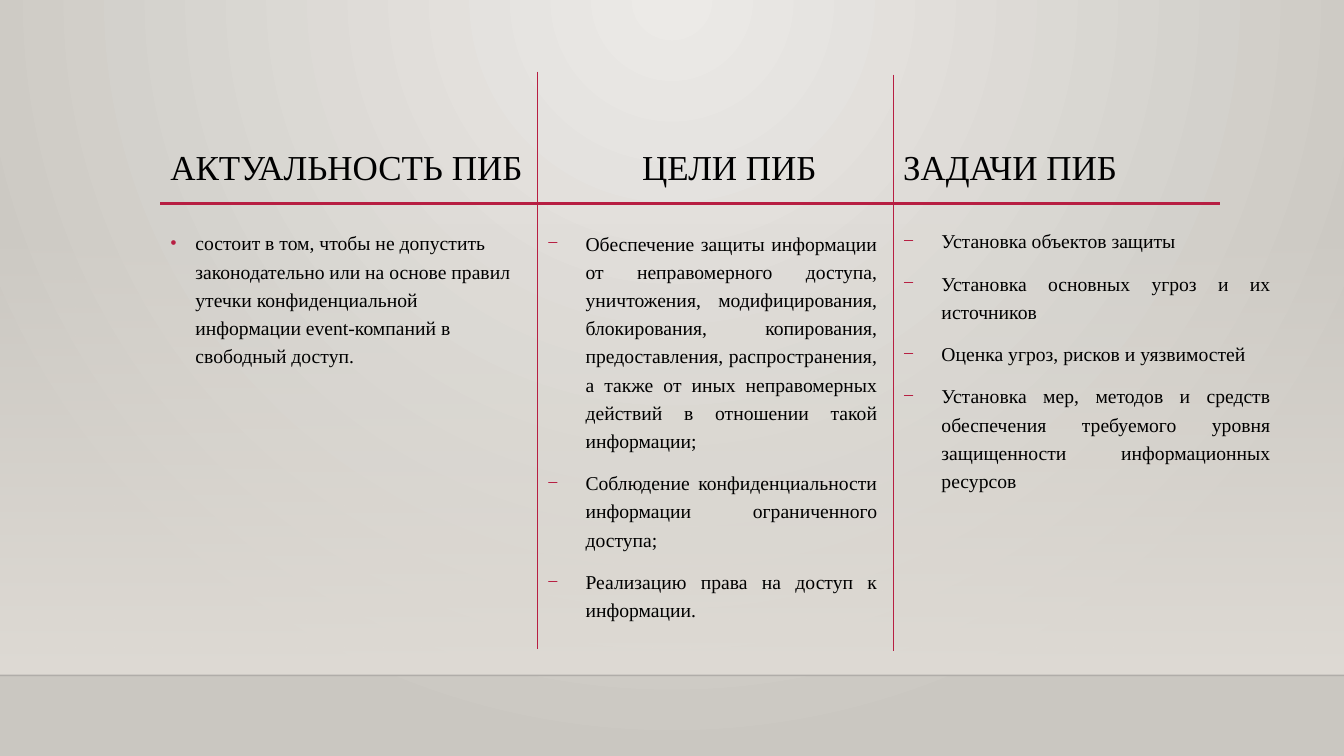
from lxml.etree import SubElement
from pptx import Presentation
from pptx.dml.color import RGBColor
from pptx.enum.shapes import MSO_CONNECTOR, MSO_SHAPE
from pptx.enum.text import MSO_ANCHOR, MSO_AUTO_SIZE, PP_ALIGN
from pptx.oxml import parse_xml
from pptx.oxml.ns import nsdecls, qn
from pptx.util import Inches, Pt

COLORS = {
    "text": "000000", "accent": "B71E42", "floor": "000001",
    "light": "ECEAE7", "dark": "CAC7C1", "wall": "DFDBD5",
}
RADIAL = '<a:path path="circle"><a:fillToRect l="43000" r="43000" b="100000"/></a:path>'
DOWNWARD = '<a:lin ang="5400000" scaled="0"/>'


def write_text(frame, paragraphs, size=14, font="Times New Roman", color="text",
               align=PP_ALIGN.LEFT, line_spacing=1.2, space_before=10,
               bullet=None, indent=0):
    """Fill a text frame with formatted paragraphs."""
    frame.word_wrap = True
    frame.auto_size = MSO_AUTO_SIZE.NONE
    frame.vertical_anchor = MSO_ANCHOR.TOP
    for index, text in enumerate(paragraphs):
        paragraph = frame.add_paragraph() if index else frame.paragraphs[0]
        paragraph.alignment = align
        paragraph.line_spacing = line_spacing
        paragraph.space_before = Pt(space_before)
        run = paragraph.add_run()
        run.text = text
        run.font.size = Pt(size)
        run.font.name = font
        run.font.color.rgb = RGBColor.from_string(COLORS[color])
        if bullet:
            properties = paragraph._p.get_or_add_pPr()
            properties.set("marL", str(Inches(indent)))
            properties.set("indent", str(-Inches(indent)))
            bullet_color = SubElement(properties, qn("a:buClr"))
            SubElement(bullet_color, qn("a:srgbClr"), val=COLORS["accent"])
            SubElement(properties, qn("a:buFont"), typeface=font)
            SubElement(properties, qn("a:buChar"), char=bullet)


class SlideBuilder:
    """Holds the style and the current slide."""

    def __init__(self, slide, colors):
        self.slide = slide
        self.colors = colors

    def gradient(self, fill, properties, stops, direction):
        fill.background()
        stop_xml = "".join(
            f'<a:gs pos="{position * 1000}"><a:srgbClr val="{self.colors[color]}">'
            f'<a:alpha val="{alpha * 1000}"/></a:srgbClr></a:gs>'
            for position, color, alpha in stops)
        gradient = parse_xml(f'<a:gradFill {nsdecls("a")} rotWithShape="1">'
                             f'<a:gsLst>{stop_xml}</a:gsLst>{direction}</a:gradFill>')
        properties.replace(properties.find(qn("a:noFill")), gradient)

    def background(self, stops):
        fill = self.slide.background.fill
        fill.background()
        properties = self.slide.element.find(".//" + qn("p:bgPr"))
        self.gradient(fill, properties, stops, RADIAL)

    def panel(self, left, top, width, height, stops):
        shape = self.slide.shapes.add_shape(
            MSO_SHAPE.RECTANGLE, *map(Inches, (left, top, width, height)))
        shape.shadow.inherit = False
        self.gradient(shape.fill, shape.element.spPr, stops, DOWNWARD)
        shape.line.fill.background()

    def line(self, x1, y1, x2, y2, color="accent", width=0.75, alpha=100):
        connector = self.slide.shapes.add_connector(
            MSO_CONNECTOR.STRAIGHT, *map(Inches, (x1, y1, x2, y2)))
        connector.line.width = Pt(width)
        connector.line.color.rgb = RGBColor.from_string(self.colors[color])
        properties = connector.element.spPr
        SubElement(properties, qn("a:effectLst"))
        if alpha < 100:
            line_color = properties.find(".//" + qn("a:srgbClr"))
            SubElement(line_color, qn("a:alpha"), val=str(alpha * 1000))

    def title(self, left, top, width, height, text, **style):
        shape = self.slide.shapes.title
        shape.left, shape.top, shape.width, shape.height = map(
            Inches, (left, top, width, height))
        write_text(shape.text_frame, [text], **style)

    def text(self, left, top, width, height, paragraphs, **style):
        box = self.slide.shapes.add_textbox(*map(Inches, (left, top, width, height)))
        write_text(box.text_frame, paragraphs, **style)


presentation = Presentation()
presentation.slide_width, presentation.slide_height = Inches(13.33), Inches(7.5)
slide = presentation.slides.add_slide(presentation.slide_layouts[5])
builder = SlideBuilder(slide, COLORS)

# Backdrop: wall, floor edge and heading rule
builder.background([(0, "light", 100), (100, "dark", 100)])
builder.panel(0, 2.21, 13.33, 4.49, [(0, "wall", 0), (100, "wall", 100)])
builder.line(0, 6.7, 13.33, 6.7, color="floor", width=1, alpha=20)
builder.line(1.59, 2.02, 12.1, 2.02, width=2.5)

# Column headings
heading = dict(size=25, line_spacing=0.9, space_before=0)
builder.title(1.59, 1.44, 3.74, 1.15, "АКТУАЛЬНОСТЬ ПИБ", **heading)
builder.text(6.27, 1.44, 2.59, 1.15, ["ЦЕЛИ ПИБ"], **heading)
builder.text(8.86, 1.44, 3.84, 1.3, ["ЗАДАЧИ ПИБ"], **heading)

# Column texts
dashed = dict(bullet="−", indent=0.38, align=PP_ALIGN.JUSTIFY)
builder.text(1.59, 2.2, 3.74, 4.26, [
    "состоит в том, чтобы не допустить законодательно или на основе правил "
    "утечки конфиденциальной информации event-компаний в свободный доступ.",
], bullet="•", indent=0.25)
builder.text(5.33, 2.2, 3.47, 4.42, [
    "Обеспечение защиты информации от неправомерного доступа, уничтожения, "
    "модифицирования, блокирования, копирования, предоставления, "
    "распространения, а также от иных неправомерных действий в отношении "
    "такой информации;",
    "Соблюдение конфиденциальности информации ограниченного доступа;",
    "Реализацию права на доступ к информации.",
], **dashed)
builder.text(8.86, 2.18, 3.84, 4.26, [
    "Установка объектов защиты",
    "Установка основных угроз и их источников",
    "Оценка угроз, рисков и уязвимостей",
    "Установка мер, методов и средств обеспечения требуемого уровня "
    "защищенности информационных ресурсов",
], **dashed)

# Column dividers
for x, top, bottom in [(5.33, 0.71, 6.44), (8.86, 0.74, 6.46)]:
    builder.line(x, top, x, bottom)

presentation.save("out.pptx")
